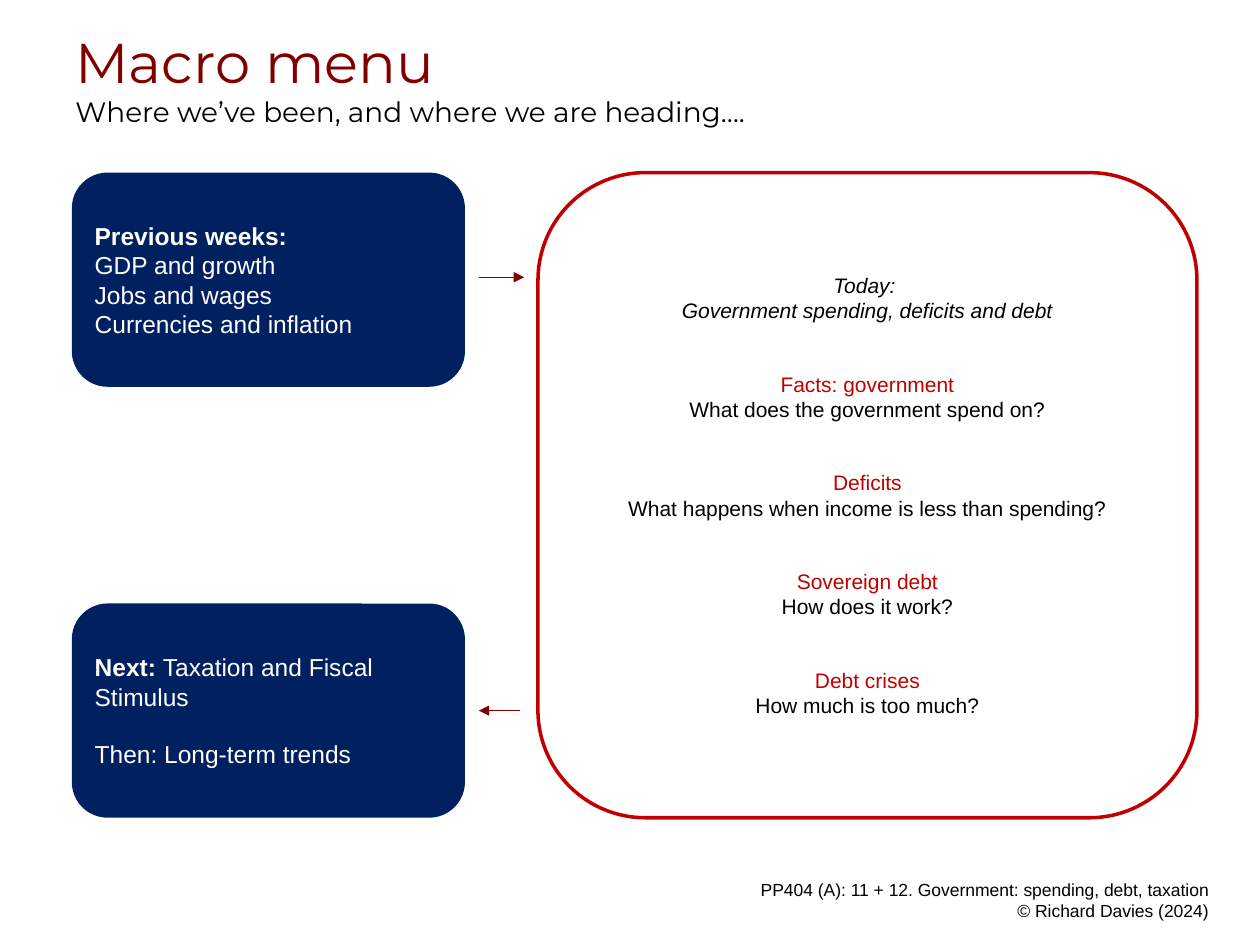
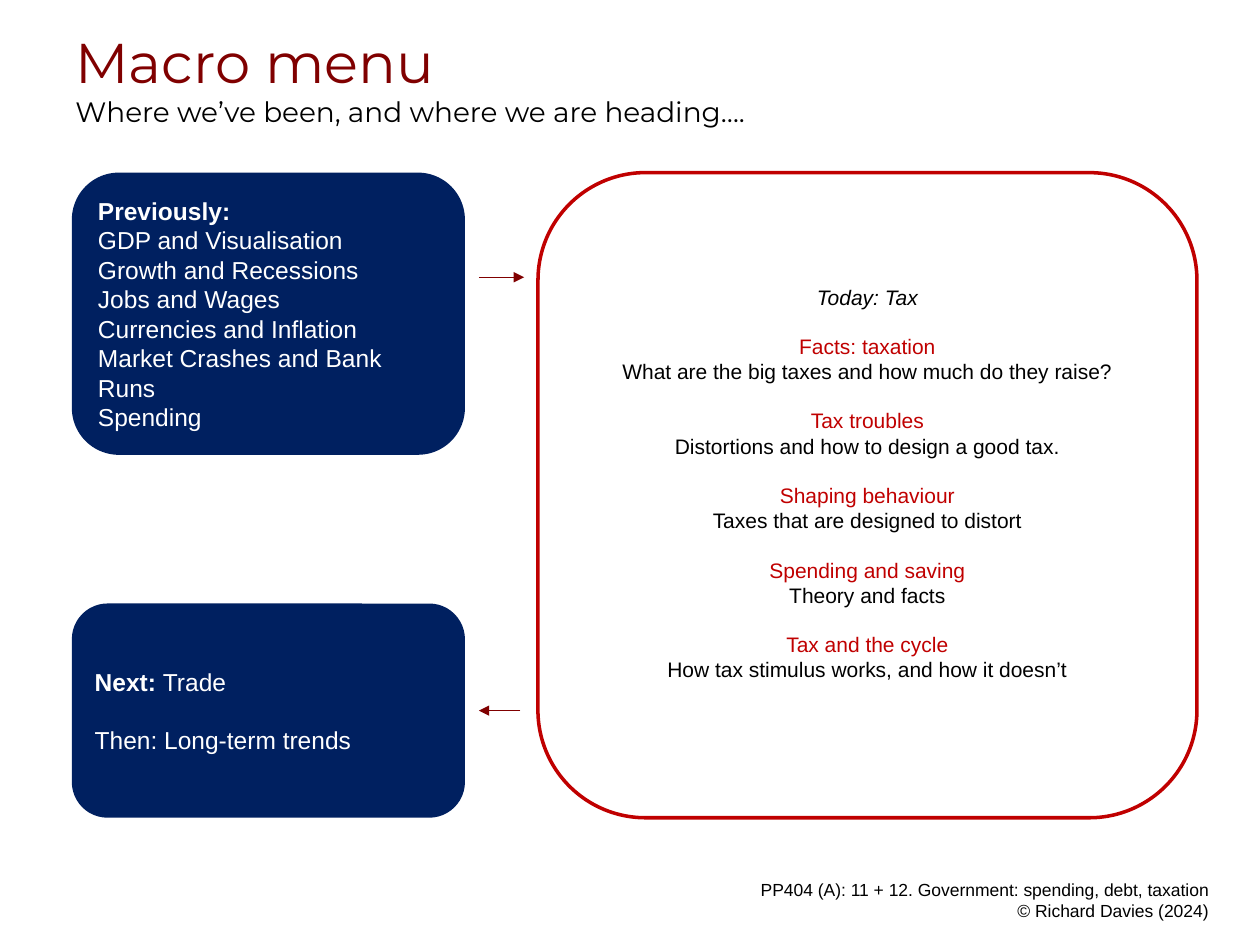
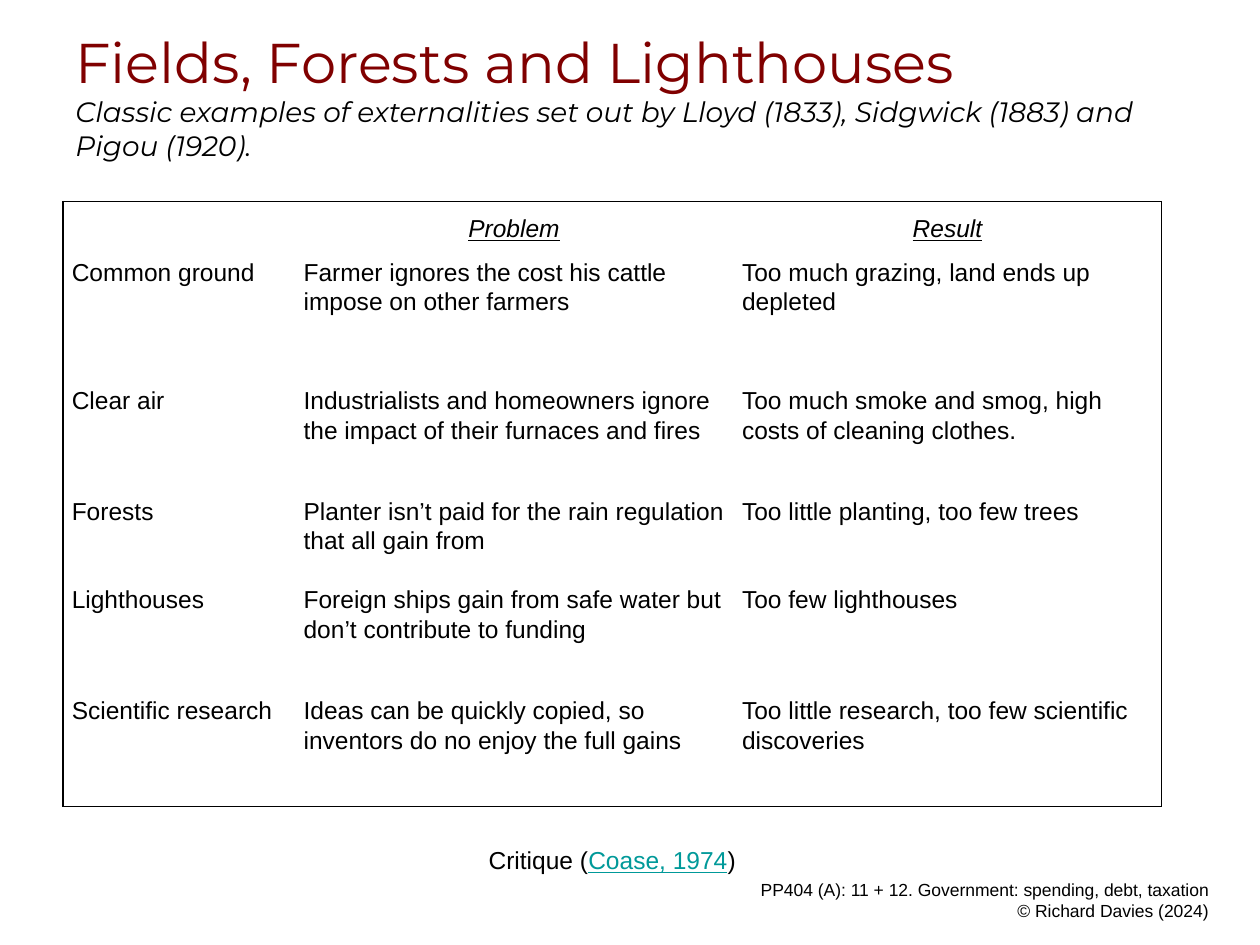
"""Builds three lecture slides: two course menus and a table of externalities."""
from lxml.etree import SubElement
from pptx import Presentation
from pptx.dml.color import RGBColor
from pptx.enum.shapes import MSO_CONNECTOR as Connector, MSO_SHAPE as Shape
from pptx.enum.text import MSO_ANCHOR as Anchor, PP_ALIGN as Align
from pptx.oxml.ns import qn
from pptx.oxml.xmlchemy import OxmlElement
from pptx.util import Inches, Pt

MAROON, RED, NAVY, TEAL = "800000", "C00000", "002060", "009999"
BLACK, WHITE = "000000", "FFFFFF"
LINE_HEIGHT = 1.15

FOOTER = ["PP404 (A): 11 + 12. Government: spending, debt, taxation",
          "© Richard Davies (2024)"]
MENU_TITLE = ("Macro menu", "Where we’ve been, and where we are heading….")
MENUS = [
    {
        "past": ["Previous weeks:", "GDP and growth", "Jobs and wages",
                 "Currencies and inflation"],
        "past_height": 1.7,
        "today": ["Today: ", "Government spending, deficits and debt"],
        "topics": [
            ("Facts: government", "What does the government spend on?"),
            ("Deficits", "What happens when income is less than spending?"),
            ("Sovereign debt", "How does it work?"),
            ("Debt crises", "How much is too much?"),
        ],
        "gap_lines": 2,
        "lines_below": 0,
        "next": "Taxation and Fiscal Stimulus",
    },
    {
        "past": ["Previously:", "GDP and Visualisation", "Growth and Recessions",
                 "Jobs and Wages", "Currencies and Inflation",
                 "Market Crashes and Bank Runs", "Spending"],
        "past_height": 2.24,
        "today": ["Today: Tax"],
        "topics": [
            ("Facts: taxation", "What are the big taxes and how much do they raise?"),
            ("Tax troubles", "Distortions and how to design a good tax."),
            ("Shaping behaviour", "Taxes that are designed to distort"),
            ("Spending and saving", "Theory and facts"),
            ("Tax and the cycle", "How tax stimulus works, and how it doesn’t"),
        ],
        "gap_lines": 1,
        "lines_below": 1,
        "next": "Trade",
    },
]
THEN = "Then: Long-term trends"

TABLE_TITLE = ("Fields, Forests and Lighthouses",
               "Classic examples of externalities set out by Lloyd (1833), "
               "Sidgwick (1883) and Pigou (1920).")
EXTERNALITIES = [
    ("", "Problem", "Result"),
    ("Common ground", "Farmer ignores the cost his cattle impose on other farmers",
     "Too much grazing, land ends up depleted"),
    ("Clear air",
     "Industrialists and homeowners ignore the impact of their furnaces and fires",
     "Too much smoke and smog, high costs of cleaning clothes."),
    ("Forests", "Planter isn’t paid for the rain regulation that all gain from",
     "Too little planting, too few trees"),
    ("Lighthouses", "Foreign ships gain from safe water but don’t contribute to funding",
     "Too few lighthouses"),
    ("Scientific research",
     "Ideas can be quickly copied, so inventors do no enjoy the full gains",
     "Too little research, too few scientific discoveries"),
]
COLUMN_WIDTHS = [1.84, 3.48, 3.4]
ROW_HEIGHTS = [0.44, 1.02, 0.88, 0.7, 0.88, 0.88]

MENU_LEFT, MENU_TOP, MENU_BOTTOM = 0.57, 1.37, 6.49
SIDE_WIDTH, NEXT_HEIGHT = 3.12, 1.7
TODAY_LEFT, TODAY_WIDTH = 4.27, 5.23


def rgb(color):
    return RGBColor.from_string(color)


def span(text, size, color=BLACK, name="Arial", bold=False, italic=False, underline=False):
    return text, dict(size=Pt(size), name=name, bold=bold, italic=italic,
                      underline=underline), color


def write(frame, lines, align=Align.LEFT, gaps=None, spacing=None):
    """Write lines of spans; gaps maps a line's index to the points before it."""
    for index, spans in enumerate(lines):
        para = frame.paragraphs[0] if index == 0 else frame.add_paragraph()
        para.alignment = align
        if spacing:
            para.line_spacing = spacing
        if gaps and index in gaps:
            para.space_before = Pt(gaps[index])
        for text, look, color in spans:
            run = para.add_run()
            run.text = text
            for key, value in look.items():
                setattr(run.font, key, value)
            run.font.color.rgb = rgb(color)


def add_text(page, at, lines, wrap=True, bottom=0.05, **layout):
    frame = page.shapes.add_textbox(*map(Inches, at)).text_frame
    frame.word_wrap = wrap
    frame.margin_bottom = Inches(bottom)
    write(frame, lines, **layout)


def add_panel(page, at, lines, fill=None, line=None, lines_below=0, **layout):
    panel = page.shapes.add_shape(Shape.ROUNDED_RECTANGLE, *map(Inches, at))
    panel.shadow.inherit = False
    if fill:
        panel.fill.solid()
        panel.fill.fore_color.rgb = rgb(fill)
    else:
        panel.fill.background()
    if line:
        panel.line.color.rgb = rgb(line)
        panel.line.width = Pt(2)
    else:
        panel.line.fill.background()
    frame = panel.text_frame
    frame.word_wrap = True
    frame.vertical_anchor = Anchor.MIDDLE
    frame.margin_bottom = Inches(0.05) + Pt(12 * LINE_HEIGHT * lines_below)
    write(frame, lines, **layout)


def add_arrow(page, start, end, y):
    arrow = page.shapes.add_connector(Connector.STRAIGHT, *map(Inches, (start, y, end, y)))
    arrow.line.color.rgb = rgb(MAROON)
    arrow.line.width = Pt(0.75)
    SubElement(arrow.line._get_or_add_ln(), qn("a:tailEnd"), type="triangle")
    SubElement(arrow._element.spPr, qn("a:effectLst"))


def add_page(deck, title, italic=False):
    page = deck.slides.add_slide(deck.slide_layouts[6])
    add_text(page, (4.16, 6.93, 5.53, 0.39), [[span(text, 10)] for text in FOOTER],
             bottom=0, align=Align.RIGHT)
    heading, subtitle = title
    add_text(page, (0.5, 0.17, 9.02, 0.84), [
        [span(heading, 32, MAROON, "Montserrat")],
        [span(subtitle, 16, name="Montserrat", italic=italic)]])
    return page


def add_menu(deck, menu):
    page = add_page(deck, MENU_TITLE)
    past = [[span(text, 14, WHITE, bold=index == 0)]
            for index, text in enumerate(menu["past"])]
    add_panel(page, (MENU_LEFT, MENU_TOP, SIDE_WIDTH, menu["past_height"]), past, fill=NAVY)
    add_arrow(page, 3.8, 4.16, 2.2)

    today = [[span(text, 12, italic=True)] for text in menu["today"]]
    gaps = {}
    for topic, question in menu["topics"]:
        gaps[len(today)] = 12 * LINE_HEIGHT * menu["gap_lines"]
        today += [[span(topic, 12, RED)], [span(question, 12)]]
    add_panel(page, (TODAY_LEFT, MENU_TOP, TODAY_WIDTH, MENU_BOTTOM - MENU_TOP), today,
              line=RED, lines_below=menu["lines_below"], align=Align.CENTER, gaps=gaps)

    upcoming = [[span("Next: ", 14, WHITE, bold=True), span(menu["next"], 14, WHITE)],
                [span(THEN, 14, WHITE)]]
    add_panel(page, (MENU_LEFT, MENU_BOTTOM - NEXT_HEIGHT, SIDE_WIDTH, NEXT_HEIGHT),
              upcoming, fill=NAVY, gaps={1: 14 * LINE_HEIGHT})
    add_arrow(page, 4.13, 3.8, 5.64)


def set_borders(cell, edges):
    """Draw a black line on the named edges and none on the others."""
    properties = cell._tc.get_or_add_tcPr()
    for index, side in enumerate("LRTB"):
        border = OxmlElement(f"a:ln{side}")
        if side in edges:
            border.set("w", str(Pt(1)))
            fill = SubElement(border, qn("a:solidFill"))
            SubElement(fill, qn("a:srgbClr"), val=BLACK)
        else:
            SubElement(border, qn("a:noFill"))
        properties.insert(index, border)


def add_externalities(page):
    rows, columns = len(ROW_HEIGHTS), len(COLUMN_WIDTHS)
    at = (0.5, 1.6, sum(COLUMN_WIDTHS), sum(ROW_HEIGHTS))
    table = page.shapes.add_table(rows, columns, *map(Inches, at)).table
    table.first_row = table.horz_banding = False
    for column, width in zip(table.columns, COLUMN_WIDTHS):
        column.width = Inches(width)
    for r, (row, height) in enumerate(zip(table.rows, ROW_HEIGHTS)):
        row.height = Inches(height)
        head = r == 0
        for c, text in enumerate(EXTERNALITIES[r]):
            cell = table.cell(r, c)
            cell.fill.background()
            cell.margin_left = cell.margin_right = Inches(0.07)
            cell.margin_top = cell.margin_bottom = 0
            if text:
                write(cell.text_frame, [[span(text, 14, italic=head, underline=head)]],
                      align=Align.CENTER if head else Align.LEFT,
                      spacing=1.5 if head else 1.07)
            outer = {"L": c == 0, "R": c == columns - 1, "T": head, "B": r == rows - 1}
            set_borders(cell, [side for side, shown in outer.items() if shown])


def main():
    deck = Presentation()
    deck.slide_width, deck.slide_height = Inches(10), Inches(7.5)
    for menu in MENUS:
        add_menu(deck, menu)
    page = add_page(deck, TABLE_TITLE, italic=True)
    add_externalities(page)
    add_text(page, (3.78, 6.66, 2.17, 0.34), [[
        span("Critique (", 14), span("Coase, 1974", 14, TEAL, underline=True),
        span(")", 14)]], wrap=False)
    deck.save("out.pptx")


if __name__ == "__main__":
    main()
